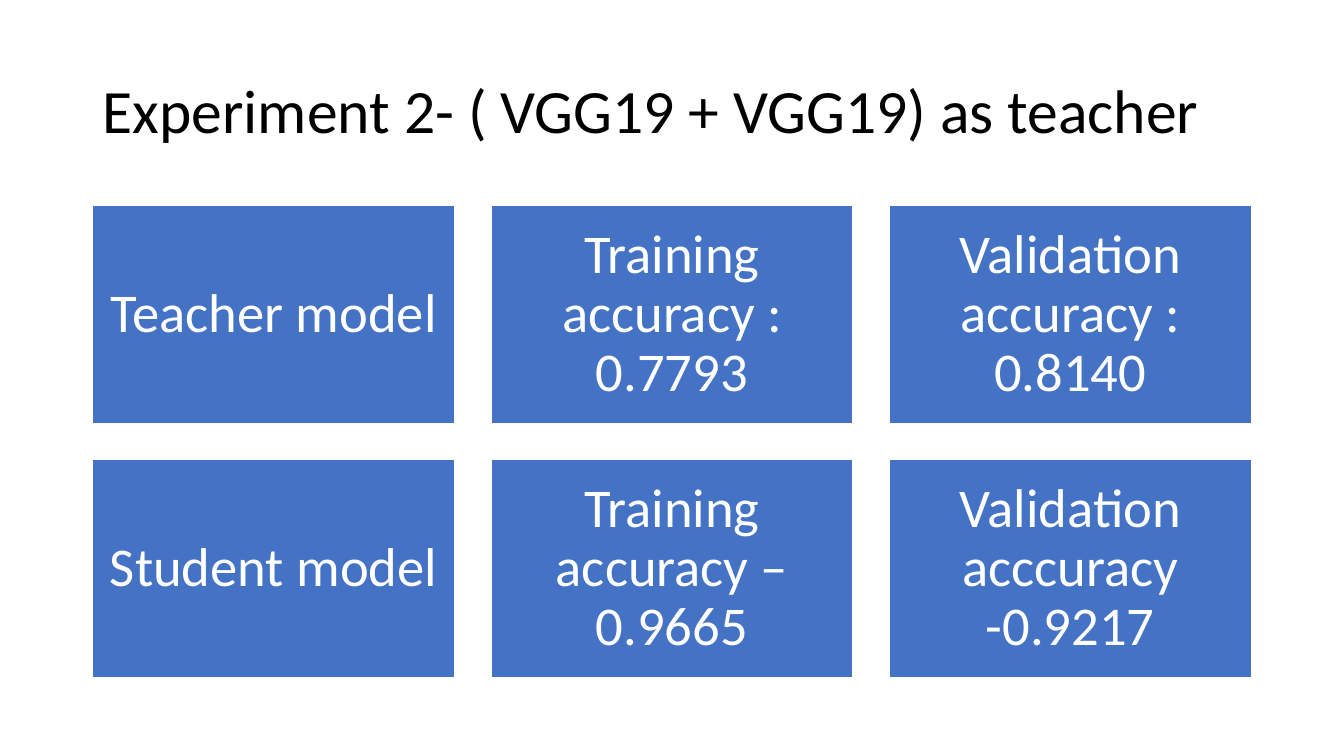
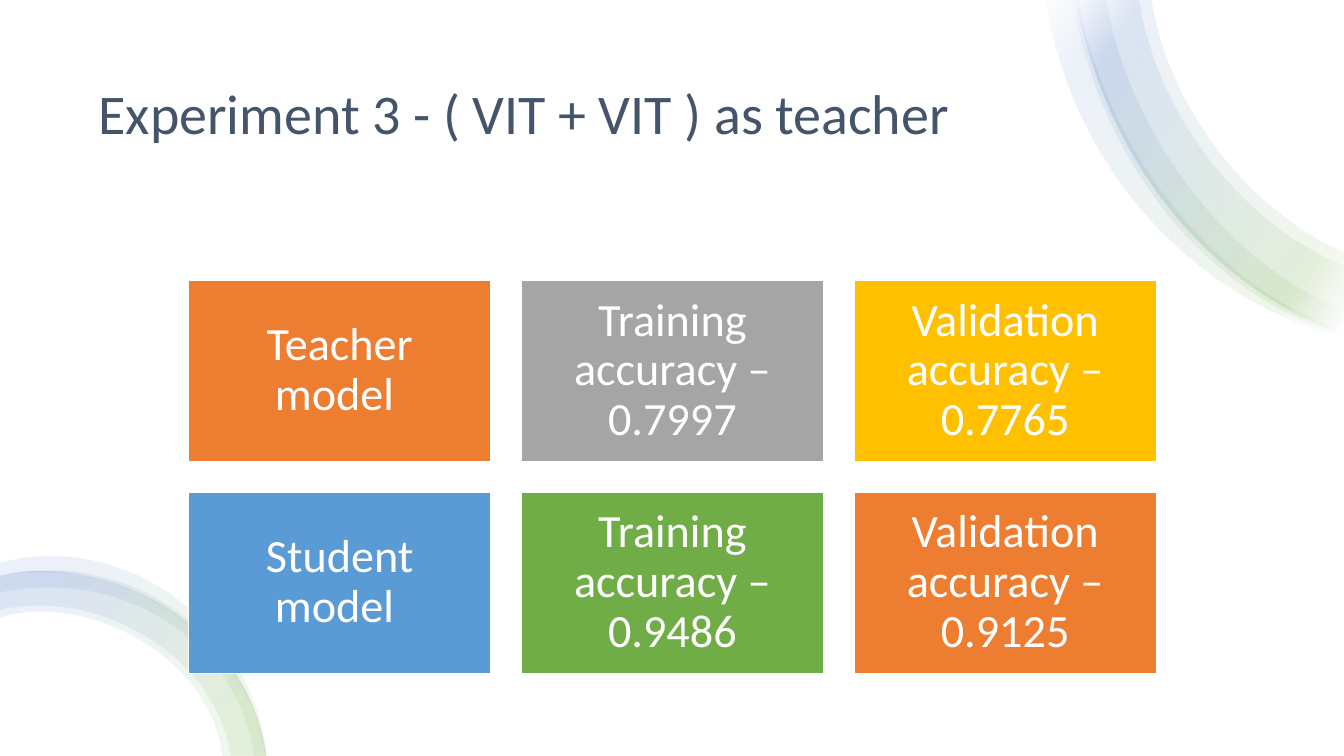
from lxml import etree
from pptx import Presentation
from pptx import util as u
from pptx.dml.color import RGBColor
from pptx.enum import shapes, text
from pptx.oxml.ns import qn

FONT = "Calibri"
WHITE = RGBColor(0xFF, 0xFF, 0xFF)
BLACK = RGBColor(0x00, 0x00, 0x00)
SLATE = RGBColor(0x44, 0x54, 0x6A)
BLUE = RGBColor(0x44, 0x72, 0xC4)
ORANGE = RGBColor(0xED, 0x7D, 0x31)
GRAY = RGBColor(0xA5, 0xA5, 0xA5)
GOLD = RGBColor(0xFF, 0xC0, 0x00)
SKY = RGBColor(0x5B, 0x9B, 0xD5)
GREEN = RGBColor(0x70, 0xAD, 0x47)

COLUMNS = 3
BAND_ANGLE = 215
BAND_OPACITY = 10
FOOT_STOPS = [(16, GREEN), (85, BLUE)]
CORNER_STOPS = [(2, WHITE), *FOOT_STOPS, (100, WHITE)]

# Band edges in inches: a start, then two controls and an end per curve
CORNER_OUTER = [(10.67, -0.09), (10.89, 1.4), (11.85, 2.8), (13.33, 3.32)]
CORNER_BANDS = [
    ([(10.36, -0.09), (10.55, 1.4), (11.6, 2.9), (13.33, 3.35)],
     [(10.68, -0.09), (10.86, 1.2), (11.85, 2.8), (13.33, 3.28)]),
    (CORNER_OUTER,
     [(11.41, -0.09), (11.53, 0.95), (12.3, 2.05), (13.33, 2.51)]),
    ([(10.63, -0.09), (10.85, 1.45), (11.85, 2.9), (13.33, 3.33)],
     [(10.96, -0.09), (11.12, 1.1), (12, 2.55), (13.33, 3.08)]),
    (CORNER_OUTER,
     [(11.29, -0.09), (11.41, 1), (12.22, 2.18), (13.33, 2.64)]),
]

FOOT_OUTER = [(0, 5.72), (0.13, 5.69), (0.28, 5.67), (0.4, 5.67),
              (1.44, 5.67), (2.49, 6.41), (2.63, 7.5)]
FOOT_BANDS = [
    (FOOT_OUTER,
     [(0, 6.13), (0.13, 6.09), (0.27, 6.07), (0.4, 6.07),
      (1.2, 6.07), (2.1, 6.65), (2.2, 7.5)]),
    (FOOT_OUTER,
     [(0, 6.06), (0.13, 6.02), (0.27, 6.01), (0.4, 6.01),
      (1.23, 6.01), (2.16, 6.62), (2.28, 7.5)]),
    ([(0, 5.71), (0.17, 5.67), (0.34, 5.66), (0.5, 5.66),
      (1.54, 5.66), (2.5, 6.45), (2.63, 7.5)],
     [(0, 5.88), (0.17, 5.84), (0.34, 5.83), (0.5, 5.83),
      (1.5, 5.83), (2.38, 6.52), (2.51, 7.5)]),
    ([(0, 5.59), (0.17, 5.54), (0.34, 5.52), (0.51, 5.52),
      (1.6, 5.52), (2.52, 6.4), (2.64, 7.5)],
     [(0, 5.72), (0.17, 5.68), (0.32, 5.68), (0.45, 5.68),
      (1.5, 5.68), (2.5, 6.5), (2.62, 7.5)]),
]


def set_text(sp, content, size, color, align, margins):
    tf = sp.text_frame
    tf.word_wrap = True
    tf.vertical_anchor = text.MSO_ANCHOR.MIDDLE
    tf.margin_left = tf.margin_right = u.Inches(margins[0])
    tf.margin_top = tf.margin_bottom = u.Inches(margins[1])
    p = tf.paragraphs[0]
    p.text = content
    p.alignment = align
    p.line_spacing = 0.9
    p.font.name = FONT
    p.font.size = u.Pt(size)
    p.font.color.rgb = color


def add_title(s, content, box, size, color):
    sp = s.shapes.add_textbox(*map(u.Inches, box))
    set_text(sp, content, size, color, text.PP_ALIGN.LEFT, (0.1, 0.05))


def add_rect(s, box, fill):
    sp = s.shapes.add_shape(shapes.MSO_SHAPE.RECTANGLE, *map(u.Inches, box))
    sp.shadow.inherit = False
    sp.fill.solid()
    sp.fill.fore_color.rgb = fill
    sp.line.fill.background()
    return sp


def add_cards(s, cards, origin, card_size, gap, font_size, margin):
    """Lay out (label, fill) cards row by row."""
    left, top = origin
    width, height = card_size
    for i, (label, fill) in enumerate(cards):
        row, col = divmod(i, COLUMNS)
        sp = add_rect(s, (left + col * (width + gap),
                          top + row * (height + gap), width, height), fill)
        sp.line.color.rgb = WHITE
        sp.line.width = u.Pt(1)
        set_text(sp, label, font_size, WHITE, text.PP_ALIGN.CENTER,
                 (margin, margin))


def curve_edges(sp, edge_sizes):
    """Turn each run of three line points into one cubic curve."""
    lines = list(sp._element.iter(qn("a:lnTo")))
    start = 0
    for size in edge_sizes:
        for k in range(start, start + size - 1, 3):
            curve = etree.Element(qn("a:cubicBezTo"))
            lines[k].addprevious(curve)
            for line in lines[k:k + 3]:
                curve.append(line[0])
                line.getparent().remove(line)
        start += size  # skips the line that joins the two edges


def set_gradient(sp, stops):
    sp.fill.background()
    no_fill = sp._element.spPr.find(qn("a:noFill"))
    grad = etree.Element(qn("a:gradFill"), rotWithShape="1")
    gs_list = etree.SubElement(grad, qn("a:gsLst"))
    for pos, color in stops:
        gs = etree.SubElement(gs_list, qn("a:gs"), pos=str(pos * 1000))
        clr = etree.SubElement(gs, qn("a:srgbClr"), val=str(color))
        etree.SubElement(clr, qn("a:alpha"), val=str(BAND_OPACITY * 1000))
    etree.SubElement(grad, qn("a:lin"), ang=str(BAND_ANGLE * 60000), scaled="0")
    no_fill.getparent().replace(no_fill, grad)


def add_bands(s, bands, stops):
    for outer, inner in bands:
        outline = [(u.Inches(x), u.Inches(y)) for x, y in outer + inner[::-1]]
        fb = s.shapes.build_freeform(*outline[0])
        fb.add_line_segments(outline[1:], close=True)
        sp = fb.convert_to_shape()
        curve_edges(sp, (len(outer), len(inner)))
        sp.shadow.inherit = False
        sp.line.fill.background()
        set_gradient(sp, stops)


def main():
    prs = Presentation()
    prs.slide_width, prs.slide_height = u.Inches(13.33), u.Inches(7.5)
    blank = prs.slide_layouts[6]

    # Experiment 2
    s = prs.slides.add_slide(blank)
    add_title(s, "Experiment 2- ( VGG19 + VGG19) as teacher",
              (0.92, 0.4, 11.5, 1.45), 44, BLACK)
    labels = ["Teacher model ", "Training accuracy : 0.7793",
              "Validation accuracy : 0.8140",
              "Student model ", "Training accuracy – 0.9665",
              "Validation acccuracy -0.9217"]
    add_cards(s, [(label, BLUE) for label in labels],
              (0.92, 2.04), (3.59, 2.16), 0.36, 39, 0.16)

    # Experiment 3
    s = prs.slides.add_slide(blank)
    add_rect(s, (0, 0, 13.33, 7.5), WHITE)
    add_title(s, "Experiment 3 - ( VIT + VIT ) as teacher",
              (0.88, 0.5, 11.57, 1.3), 40, SLATE)
    add_bands(s, CORNER_BANDS, CORNER_STOPS)
    add_bands(s, FOOT_BANDS, FOOT_STOPS)
    cards = [("Teacher model ", ORANGE),
             ("Training accuracy – 0.7997", GRAY),
             ("Validation accuracy – 0.7765", GOLD),
             ("Student model ", SKY),
             ("Training accuracy – 0.9486", GREEN),
             ("Validation accuracy – 0.9125", ORANGE)]
    add_cards(s, cards, (1.87, 2.78), (3, 1.8), 0.3, 33, 0.14)

    prs.save("out.pptx")


if __name__ == "__main__":
    main()
